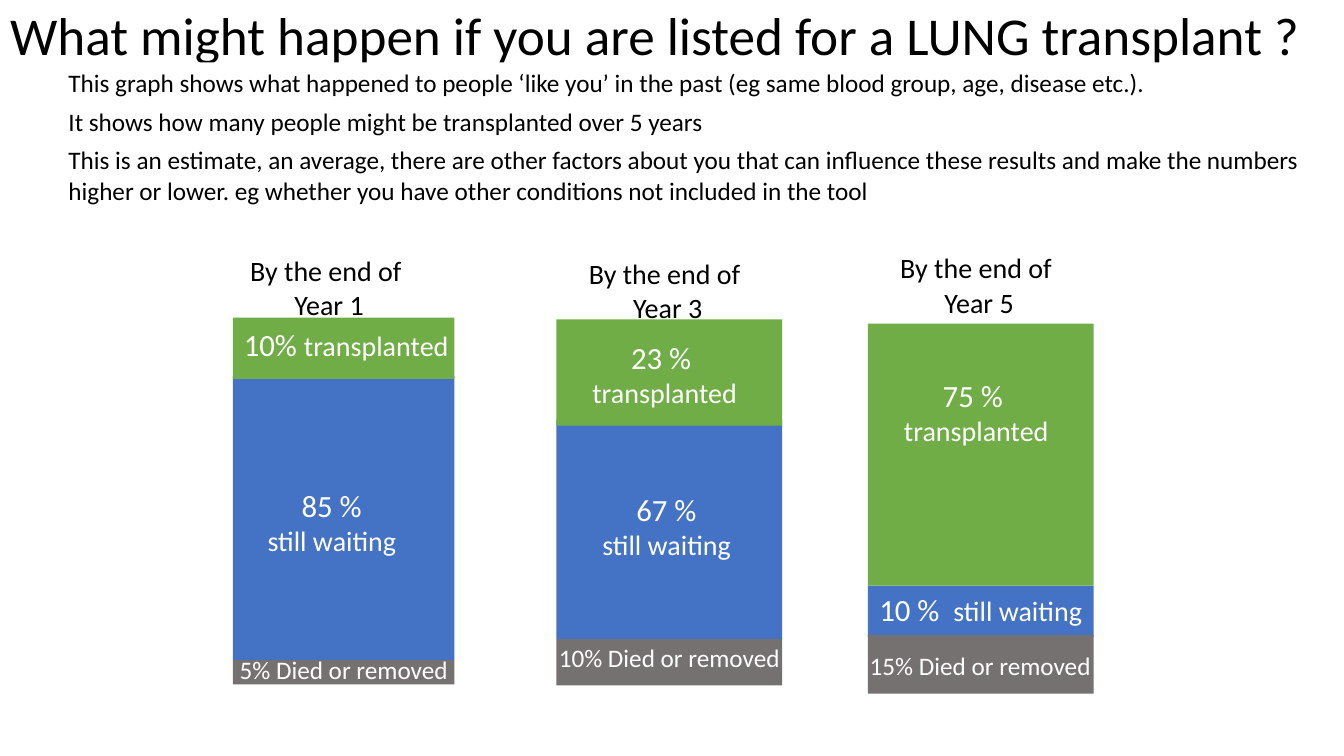
from pptx import Presentation
from pptx.dml.color import RGBColor
from pptx.enum import shapes, text
from pptx.util import Pt

FONT = "Calibri"
COLORS = {"waiting": "4472C4", "transplanted": "70AD47", "removed": "767171",
          "black": "000000", "white": "FFFFFF"}

TITLE = "What might happen if you are listed for a LUNG transplant ?"
INTRO = [
    "This graph shows what happened to people ‘like you’ in the past "
    "(eg same blood group, age, disease etc.).",
    "It shows how many people might be transplanted over 5 years",
    "This is an estimate, an average, there are other factors about you that can "
    "influence these results and make the numbers higher or lower. "
    "eg whether you have other conditions not included in the tool",
]

# Each bar: left, width, then (outcome, top, height) from back to front
BARS = [
    (166.3, 158.2, [("waiting", 268.6, 203), ("transplanted", 226.8, 43.9),
                    ("removed", 471.6, 17.3)]),
    (397.4, 161.3, [("waiting", 299.5, 157), ("transplanted", 228.2, 75.8),
                    ("removed", 456.5, 33.1)]),
    (619.9, 161.3, [("waiting", 418.3, 36.7), ("transplanted", 231.1, 187.2),
                    ("removed", 453.6, 41.8)]),
]

# Each heading: year, box, paragraph spacing
HEADINGS = [
    (1, (158.4, 177.8, 153.4, 55.4), 0),
    (3, (400.3, 180, 153.4, 55.4), 0),
    (5, (627.8, 175.7, 143.3, 59.8), 0.5),
]

# Each label: box, lines made of (wording, size) runs
LABELS = [
    ((177.8, 344.2, 123.1, 58.3), [[("85 % ", 22)], [("still waiting ", 20)]]),
    ((416.9, 347, 123.1, 58.3), [[("67 % ", 22)], [("still waiting ", 20)]]),
    ((620.6, 418.3, 159.8, 33.8), [[("10 %  ", 22), ("still waiting ", 20)]]),
    ((133.2, 229, 228.2, 33.8), [[("10% ", 22), ("transplanted", 20)]]),
    ((411.8, 238.3, 126, 58.3), [[("23 % ", 22)], [("transplanted", 20)]]),
    ((629.3, 265.7, 136.1, 58.3), [[("75 % ", 22)], [("transplanted", 20)]]),
    ((161.3, 463.7, 168.5, 28.8), [[("5% Died or removed", 18)]]),
    ((377.3, 455, 201.6, 28.8), [[("10% Died or removed", 18)]]),
    ((607.7, 460.8, 185, 28.8), [[("15% Died or removed", 18)]]),
]


def rgb(name):
    return RGBColor.from_string(COLORS[name])


def fill_frame(frame, lines, color, align, before=0, after=0):
    """Write lines of (wording, size) runs into a text frame."""
    frame.word_wrap = True
    frame.auto_size = text.MSO_AUTO_SIZE.NONE
    frame.vertical_anchor = text.MSO_ANCHOR.TOP
    for index, line in enumerate(lines):
        para = frame.paragraphs[0] if index == 0 else frame.add_paragraph()
        para.alignment = align
        para.space_before, para.space_after = Pt(before), Pt(after)
        for wording, size in line:
            span = para.add_run()
            span.text = wording
            span.font.name = FONT
            span.font.size = Pt(size)
            span.font.color.rgb = rgb(color)


def add_text(page, place, lines, color, align=text.PP_ALIGN.CENTER, before=0, after=0):
    box = page.shapes.add_textbox(*map(Pt, place))
    fill_frame(box.text_frame, lines, color, align, before, after)
    return box


def add_segment(page, place, outcome):
    segment = page.shapes.add_shape(shapes.MSO_SHAPE.RECTANGLE, *map(Pt, place))
    segment.shadow.inherit = False
    segment.fill.solid()
    segment.fill.fore_color.rgb = rgb(outcome)
    segment.line.fill.background()


def set_title(page):
    title = page.shapes.title
    title.left, title.top, title.width, title.height = map(Pt, (0, -4.3, 960, 72.7))
    frame = title.text_frame
    fill_frame(frame, [[(TITLE, 38)]], "black", text.PP_ALIGN.LEFT)
    frame.margin_left = frame.margin_right = Pt(7.2)
    frame.margin_top = Pt(5.6)


def add_intro(page):
    box = add_text(page, (41.8, 44.6, 896.4, 106.6), [[(line, 18)] for line in INTRO],
                   "black", text.PP_ALIGN.LEFT, after=6)
    box.fill.solid()
    box.fill.fore_color.rgb = rgb("white")


def main():
    deck = Presentation()
    deck.slide_width, deck.slide_height = Pt(960), Pt(540)
    page = deck.slides.add_slide(deck.slide_layouts[5])

    # Title and explanation
    set_title(page)
    add_intro(page)

    # Stacked bars
    for left, width, segments in BARS:
        for outcome, top, height in segments:
            add_segment(page, (left, top, width, height), outcome)

    # Headings above the bars
    for year, place, gap in HEADINGS:
        lines = [[("By the end of ", 20)], [(f"Year {year}", 20)]]
        add_text(page, place, lines, "black", before=gap, after=gap)

    # Labels on the segments
    for place, lines in LABELS:
        add_text(page, place, lines, "white")

    deck.save("out.pptx")


if __name__ == "__main__":
    main()
